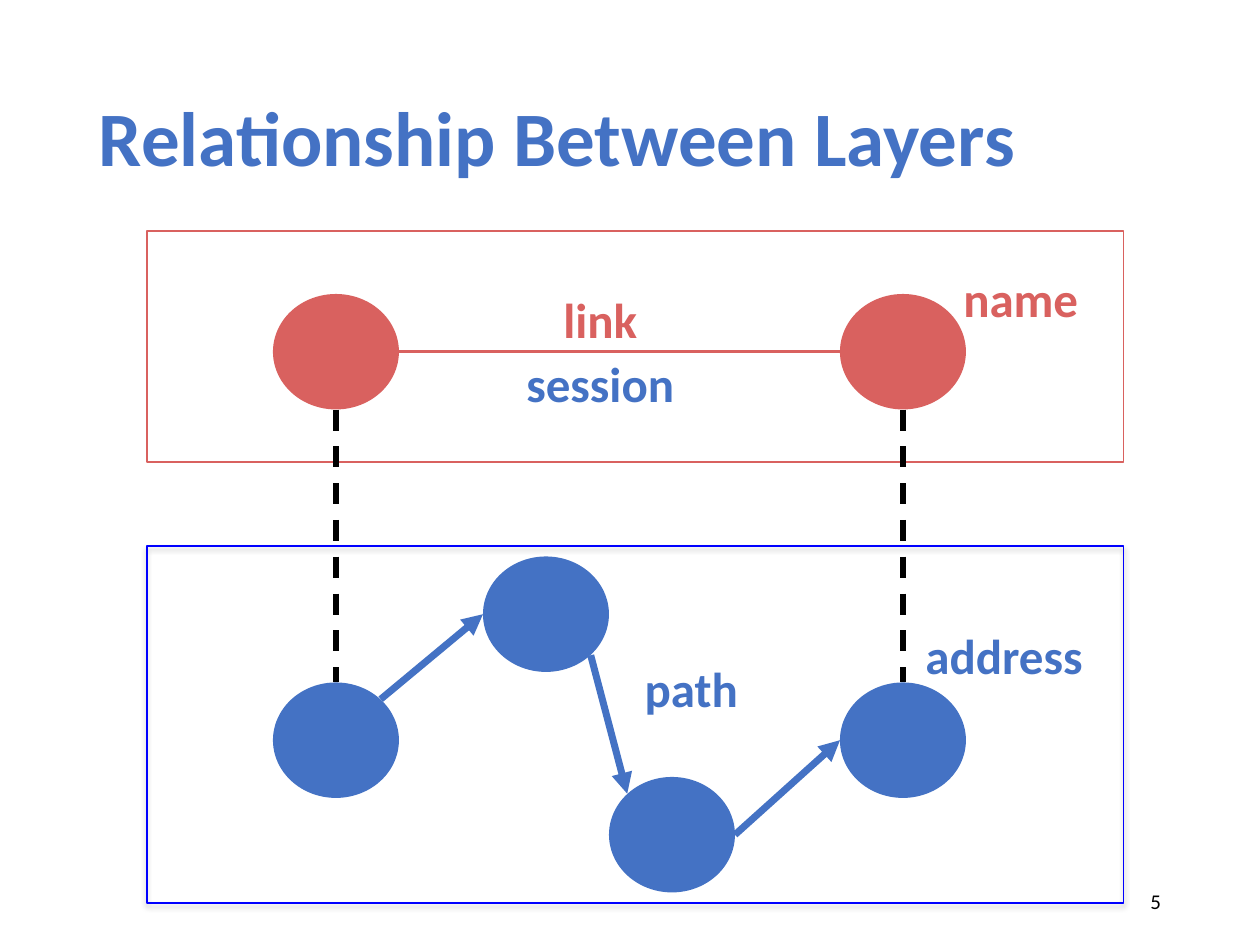
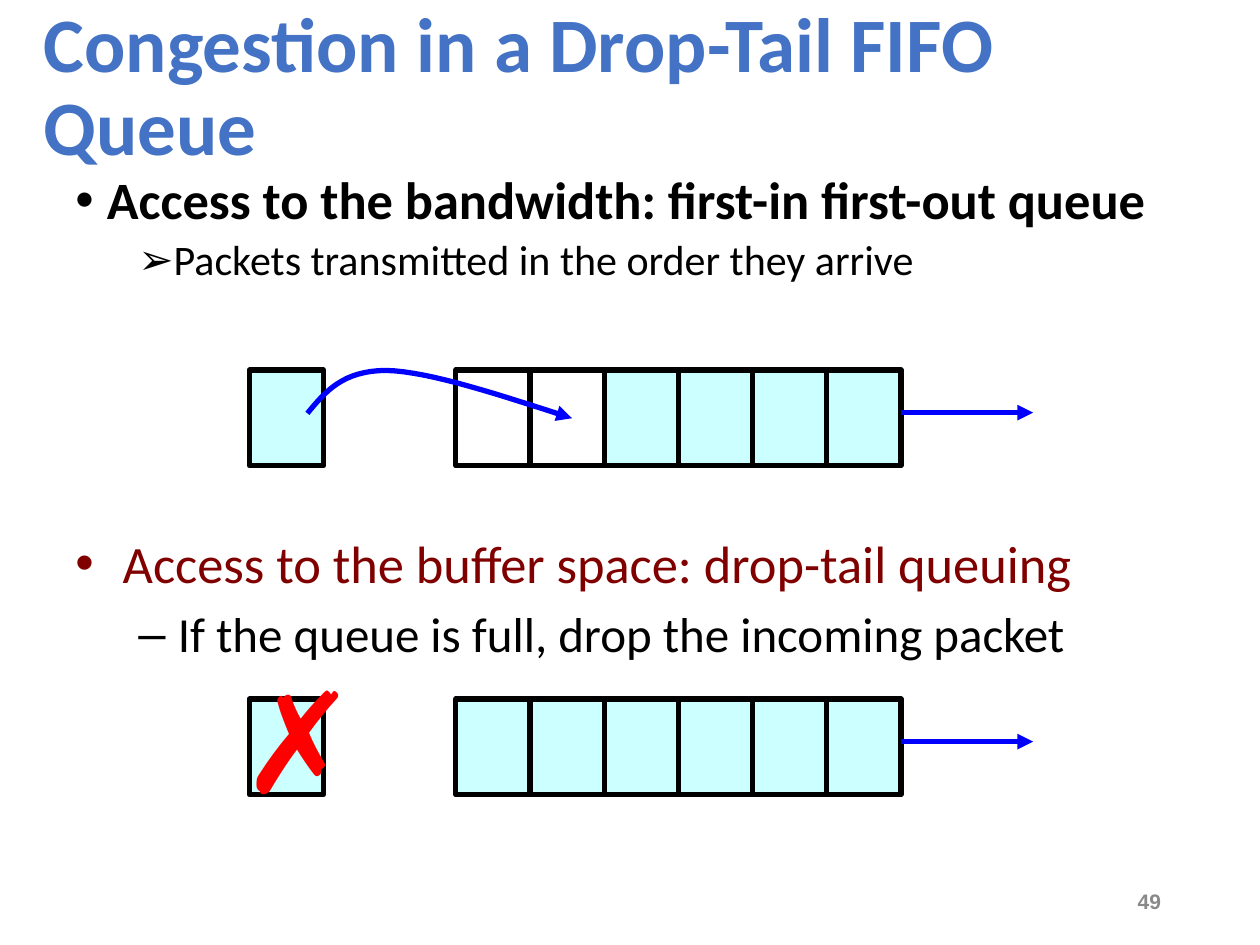
from lxml.etree import SubElement
from pptx import Presentation
from pptx.dml.color import RGBColor
from pptx.enum.dml import MSO_LINE
from pptx.enum.shapes import MSO_CONNECTOR, MSO_SHAPE
from pptx.enum.text import MSO_ANCHOR, MSO_AUTO_SIZE, PP_ALIGN
from pptx.oxml.ns import qn
from pptx.util import Pt

BLUE = RGBColor(0x44, 0x72, 0xC4)
RED = RGBColor(0xD9, 0x61, 0x5F)
PURE_BLUE = RGBColor(0, 0, 0xFF)
PURE_RED = RGBColor(0xFF, 0, 0)
MAROON = RGBColor(0x80, 0, 0)
BLACK = RGBColor(0, 0, 0)
GRAY = RGBColor(0x89, 0x89, 0x89)
CYAN = RGBColor(0xCC, 0xFF, 0xFF)

# Layers slide: left and top of nodes, paths between node sites, labels
NODE_W, NODE_H = 72, 66
NODES = {
    "client": (156, 168, RED), "server": (480, 168, RED),
    "source": (156, 390, BLUE), "hop 1": (276, 318, BLUE),
    "hop 2": (348, 444, BLUE), "target": (480, 390, BLUE),
}
D = 0.71
SITES = {"N": (0, -1), "S": (0, 1), "W": (-1, 0), "E": (1, 0),
         "NE": (D, -D), "NW": (-D, -D), "SE": (D, D)}
HOPS = [("source", "NE", "hop 1", "W"), ("hop 1", "SE", "hop 2", "NW"),
        ("hop 2", "E", "target", "W")]
MAPPINGS = [("client", "S", "source", "N"), ("server", "S", "target", "N")]
SESSION = ("client", "E", "server", "W")
LAYERS = [(132, 132, RED), (312, 204, PURE_BLUE)]
LABELS = [
    ("link", 314.5, 162, 57, RED), ("session", 293, 198.5, 100, BLUE),
    ("path", 360, 373, 70, BLUE), ("name", 543, 150, 80.5, RED),
    ("address", 520.5, 354, 106.5, BLUE),
]

# Queue slide: text, bullet, size, bold, colour, margin, hanging, space before
ACCESS = [
    ("Access to the bandwidth: first-in first-out queue", "•", 30, True, BLACK, 18, 18, 10),
    ("Packets transmitted in the order they arrive", "➢", 24, False, BLACK, 54, 18, 5),
]
BUFFER = [
    ("Access to the buffer space: drop-tail queuing", "•", 30, False, MAROON, 27, 27, 6),
    ("If the queue is full, drop the incoming packet", "–", 28, False, BLACK, 58.5, 22.5, 5.6),
]
QUEUES = [(211.5, 2), (399.5, 0)]  # top, empty slots
SLOTS, SLOT_W, SLOT_H = 6, 42.4, 54.7
INCOMING_X, QUEUE_X, OUT_LENGTH = 142.5, 260.5, 75.5
ARRIVAL = [  # two cubic curves sharing their joint
    ((175.7, 236.2), (185.8, 224), (195.8, 211.7), (221, 211.7)),
    ((221, 211.7), (246.2, 212.4), (286.6, 226.1), (326.9, 239)),
]


def add_text(s, box, text, size, color, bold=False, font="Calibri",
             align=PP_ALIGN.LEFT, anchor=MSO_ANCHOR.MIDDLE, wrap=True):
    tf = s.shapes.add_textbox(*map(Pt, box)).text_frame
    tf.word_wrap, tf.vertical_anchor = wrap, anchor
    if not wrap:
        tf.auto_size = MSO_AUTO_SIZE.SHAPE_TO_FIT_TEXT
    p = tf.paragraphs[0]
    p.text, p.alignment = text, align
    set_font(p, size, color, bold, font)
    return p


def set_font(p, size, color, bold, font="Calibri"):
    f = p.font
    f.name, f.size, f.bold = font, Pt(size), bold
    f.color.rgb = color


def add_slide(prs, title, title_box, number, **number_style):
    s = prs.slides.add_slide(prs.slide_layouts[6])
    add_text(s, title_box, title, 44, BLUE, True).line_spacing = 0.9
    style = {"color": BLACK, **number_style}
    add_text(s, (508.5, 500.5, 162, 28.5), number, 12, align=PP_ALIGN.RIGHT, **style)
    return s


def add_bullets(s, box, items, line_spacing=None):
    tf = s.shapes.add_textbox(*map(Pt, box)).text_frame
    tf.word_wrap = True
    for i, (text, bullet, size, bold, color, margin, hanging, before) in enumerate(items):
        p = tf.add_paragraph() if i else tf.paragraphs[0]
        p.text, p.line_spacing, p.space_before = text, line_spacing, Pt(before)
        set_font(p, size, color, bold)
        pPr = p._p.get_or_add_pPr()
        pPr.set("marL", str(Pt(margin)))
        pPr.set("indent", str(-Pt(hanging)))
        bu_font = pPr.makeelement(qn("a:buFont"), {"typeface": "Arial"})
        bu_char = pPr.makeelement(qn("a:buChar"), {"char": bullet})
        pPr.insert_element_before(bu_font, "a:defRPr")
        pPr.insert_element_before(bu_char, "a:defRPr")


def style_shape(sp, fill=None, line=None, width=0.75):
    sp.shadow.inherit = False
    if fill is None:
        sp.fill.background()
    else:
        sp.fill.solid()
        sp.fill.fore_color.rgb = fill
    if line is None:
        sp.line.fill.background()
    else:
        sp.line.color.rgb, sp.line.width = line, Pt(width)


def add_shape(s, kind, box, **style):
    sp = s.shapes.add_shape(kind, *map(Pt, box))
    style_shape(sp, **style)
    return sp


def add_arrowhead(sp):
    SubElement(sp._element.spPr.find(qn("a:ln")), qn("a:tailEnd"), type="triangle")


def add_line(s, start, end, color, width, dashed=False, arrow=False):
    c = s.shapes.add_connector(MSO_CONNECTOR.STRAIGHT, *map(Pt, (*start, *end)))
    c.line.color.rgb, c.line.width = color, Pt(width)
    if dashed:
        c.line.dash_style = MSO_LINE.DASH
    if arrow:
        add_arrowhead(c)
    SubElement(c._element.spPr, qn("a:effectLst"))


def add_soft_shadow(sp):
    effects = sp._element.spPr.find(qn("a:effectLst"))
    shadow = SubElement(effects, qn("a:outerShdw"), blurRad=str(Pt(3.1)),
                        dist=str(Pt(1.8)), dir="5400000", rotWithShape="0")
    color = SubElement(shadow, qn("a:srgbClr"), val=str(BLACK))
    SubElement(color, qn("a:alpha"), val="35000")


def node_site(node, site):
    left, top, _ = NODES[node]
    dx, dy = SITES[site]
    return left + NODE_W / 2 * (1 + dx), top + NODE_H / 2 * (1 + dy)


def join_nodes(s, link, *style, **options):
    a, site_a, b, site_b = link
    add_line(s, node_site(a, site_a), node_site(b, site_b), *style, **options)


def bezier(points, t):
    weights = ((1 - t) ** 3, 3 * t * (1 - t) ** 2, 3 * t * t * (1 - t), t ** 3)
    return tuple(Pt(sum(w * pt[axis] for w, pt in zip(weights, points))) for axis in (0, 1))


def layers_slide(prs):
    s = add_slide(prs, "Relationship Between Layers", (49.5, 29, 621, 104), "5")
    for left, top, color in NODES.values():
        add_shape(s, MSO_SHAPE.OVAL, (left, top, NODE_W, NODE_H), fill=color)
    for hop in HOPS:
        join_nodes(s, hop, BLUE, 4, arrow=True)
    # Layer frames; the lower one is raised
    for top, height, color in LAYERS:
        frame = add_shape(s, MSO_SHAPE.RECTANGLE, (84, top, 558, height), line=color)
    add_soft_shadow(frame)
    join_nodes(s, SESSION, RED, 2)
    for mapping in MAPPINGS:
        join_nodes(s, mapping, BLACK, 3, dashed=True)
    for text, left, top, width, color in LABELS:
        add_text(s, (left, top, width, 41), text, 28, color, True,
                 align=PP_ALIGN.CENTER, anchor=MSO_ANCHOR.TOP, wrap=False)


def queue_slide(prs):
    s = add_slide(prs, "Congestion in a Drop-Tail FIFO Queue", (18, 6, 684, 90), "49",
                  color=GRAY, bold=True, font="Arial")
    add_bullets(s, (36, 96, 666, 186), ACCESS, 0.9)
    # Incoming packet, slots and outgoing arrow
    for top, empty in QUEUES:
        packets = [(INCOMING_X, CYAN)]
        packets += [(QUEUE_X + i * SLOT_W, None if i < empty else CYAN) for i in range(SLOTS)]
        for left, fill in packets:
            add_shape(s, MSO_SHAPE.RECTANGLE, (left, top, SLOT_W, SLOT_H),
                      fill=fill, line=BLACK, width=3)
        out_x, out_y = QUEUE_X + SLOTS * SLOT_W, top + 24.3
        add_line(s, (out_x, out_y), (out_x + OUT_LENGTH, out_y), PURE_BLUE, 3, arrow=True)
    # Curve of the arriving packet
    curve = [bezier(part, i / 16) for part in ARRIVAL for i in range(17)]
    builder = s.shapes.build_freeform(*curve[0])
    builder.add_line_segments(curve[1:], close=False)
    arrival = builder.convert_to_shape()
    style_shape(arrival, line=PURE_BLUE, width=3)
    add_arrowhead(arrival)
    # Dropped packet
    add_text(s, (130.5, 370, 62, 104.5), "✗", 80, PURE_RED, True, "Arial",
             anchor=MSO_ANCHOR.TOP, wrap=False)
    add_bullets(s, (36, 300, 672, 108), BUFFER)


def main():
    prs = Presentation()
    prs.slide_width, prs.slide_height = Pt(720), Pt(540)
    layers_slide(prs)
    queue_slide(prs)
    prs.save("out.pptx")


if __name__ == "__main__":
    main()
